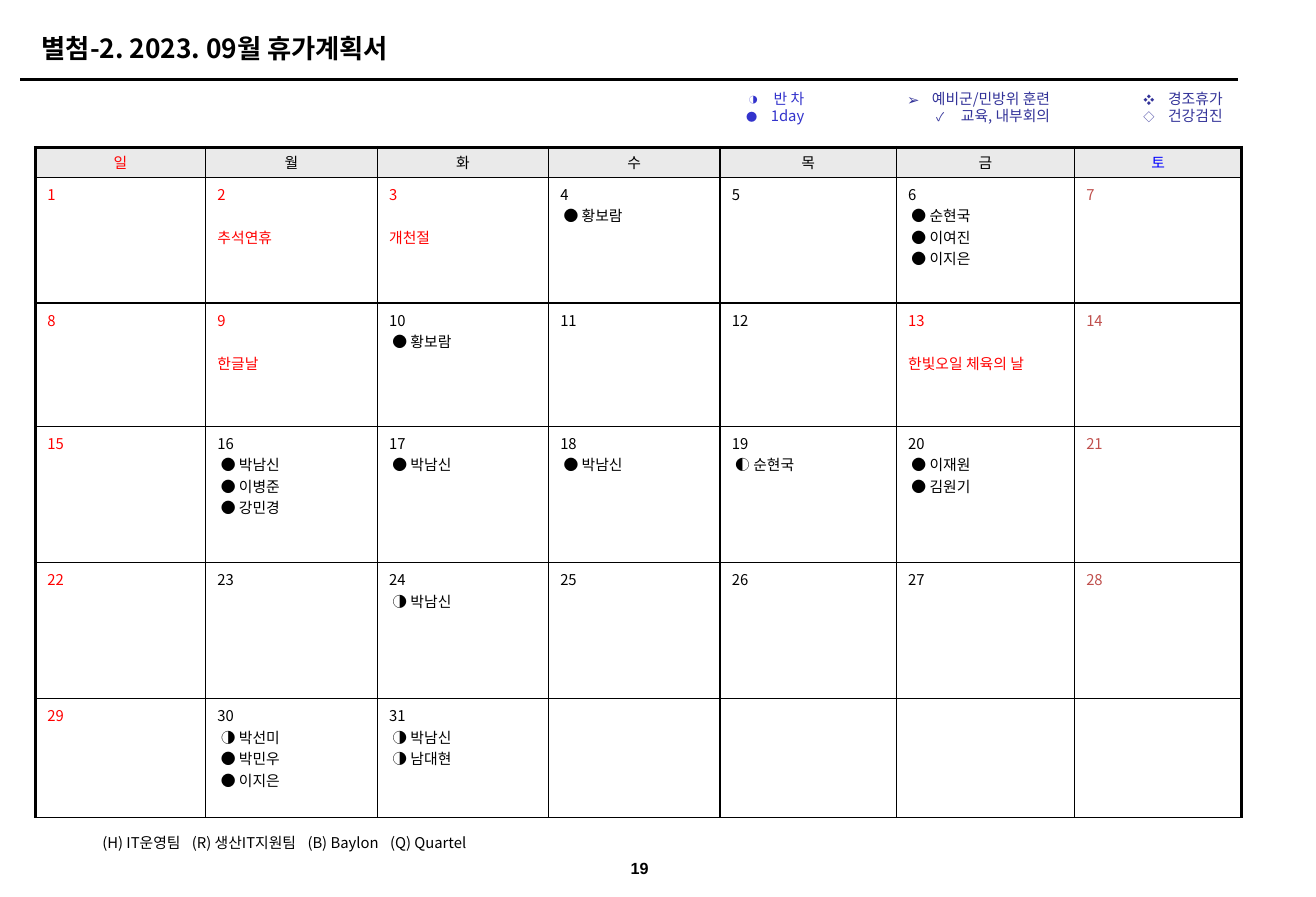
from lxml.etree import SubElement
from pptx import Presentation
from pptx.dml.color import RGBColor
from pptx.enum.shapes import MSO_CONNECTOR
from pptx.enum.text import MSO_ANCHOR as Anchor, MSO_AUTO_SIZE as AutoSize, PP_ALIGN as Align
from pptx.oxml.ns import qn
from pptx.util import Cm, Pt

KOREAN = "Noto Sans CJK KR"
BLACK, RED, BLUE, BRICK = "000000", "FF0000", "0000FF", "C0504D"
SMALL = {"name": KOREAN, "size": Pt(9), "bold": False}
HEADING = {"name": KOREAN, "size": Pt(16), "bold": True}
PAGE_NUMBER = {"name": "Arial", "size": Pt(9.8), "bold": True}

WEEKDAYS = "일월화수목금토"
COLUMN_WIDTHS = [3.65, 3.68, 3.67, 3.68, 3.78, 3.82, 3.59]
ROW_HEIGHTS = [0.64, 2.7, 2.64, 2.92, 2.92, 2.54]
LAST_DAY = 31
HOLIDAYS = {2: "추석연휴", 3: "개천절", 9: "한글날", 13: "한빛오일 체육의 날"}
LEAVES = {
    4: ["● 황보람"],
    6: ["● 순현국", "● 이여진", "● 이지은"],
    10: ["● 황보람"],
    16: ["● 박남신", "● 이병준", "● 강민경"],
    17: ["● 박남신"],
    18: ["● 박남신"],
    19: ["◐ 순현국"],
    20: ["● 이재원", "● 김원기"],
    24: ["◑ 박남신"],
    30: ["◑ 박선미", "● 박민우", "● 이지은"],
    31: ["◑ 박남신", "◑ 남대현"],
}
# Placeholder index, box, colour, (bullet, bullet size in percent, label)
LEGENDS = [
    (1, (14.5, 1.83, 3, 1), "3333CC", [("◑", 60, "반 차"), ("●", 75, "1day")]),
    (2, (18.77, 1.83, 4, 1), "333399",
     [("➢", 100, "예비군/민방위 훈련"), ("✓", 80, "교육, 내부회의")]),
    (3, (21.82, 1.83, 4.65, 1), "333399",
     [("❖", 75, "경조휴가"), ("◇", 75, "건강검진")]),
]
TEAMS = ["(H) IT운영팀", "(R) 생산IT지원팀", "(B) Baylon", "(Q) Quartel"]
TEAM_GAP = 5  # points added to the space between teams


def rgb(value):
    return RGBColor.from_string(value)


def apply(target, values):
    for name, value in values.items():
        setattr(target, name, value)


def add_span(para, text, style, color=BLACK):
    span = para.add_run()
    span.text = text
    apply(span.font, style)
    span.font.color.rgb = rgb(color)
    properties = span._r.get_or_add_rPr()
    for tag in ("a:ea", "a:sym"):
        SubElement(properties, qn(tag), typeface=style["name"])
    return properties


def place(shape, box, anchor):
    names = ("left", "top", "width", "height")
    apply(shape, {name: Cm(length) for name, length in zip(names, box)})
    apply(shape.text_frame, {"word_wrap": True, "auto_size": AutoSize.NONE,
                             "vertical_anchor": anchor})
    return shape.text_frame


def next_para(frame, index):
    return frame.add_paragraph() if index else frame.paragraphs[0]


def set_indent(para, left, first=0):
    properties = para._p.get_or_add_pPr()
    properties.set("marL", str(Cm(left)))
    properties.set("indent", str(Cm(first)))
    return properties


def add_heading(page, box):
    left, top, width, height = box
    # Title
    frame = place(page.shapes.title, (left + 0.21, top, width - 1, height), Anchor.MIDDLE)
    para = frame.paragraphs[0]
    para.alignment = Align.LEFT
    add_span(para, "별첨-2. 2023. 09월 휴가계획서", HEADING)
    # Rule under the title
    y = Cm(top + height + 0.2)
    rule = page.shapes.add_connector(MSO_CONNECTOR.STRAIGHT, Cm(left), y, Cm(left + width), y)
    rule.line.color.rgb = rgb(BLACK)
    rule.line.width = Pt(1.5)
    SubElement(rule._element.spPr, qn("a:effectLst"))


def add_legend(placeholder, box, color, entries):
    frame = place(placeholder, box, Anchor.TOP)
    for index, (bullet, percent, label) in enumerate(entries):
        para = next_para(frame, index)
        properties = set_indent(para, 0.53, -0.53)
        ink = SubElement(properties, qn("a:buClr"))
        SubElement(ink, qn("a:srgbClr"), val=color)
        SubElement(properties, qn("a:buSzPct"), val=str(percent * 1000))
        SubElement(properties, qn("a:buFont"), typeface=KOREAN)
        SubElement(properties, qn("a:buChar"), char=bullet)
        apply(para, {"alignment": Align.RIGHT, "line_spacing": 0.95, "space_before": Pt(0)})
        add_span(para, label, SMALL, color)


def format_cell(cell, row, column):
    properties = cell._tc.get_or_add_tcPr()
    outer = {"L": column == 0, "R": column == len(COLUMN_WIDTHS) - 1,
             "T": row == 0, "B": False}
    for side, is_outer in outer.items():
        border = SubElement(properties, qn(f"a:ln{side}"), w=str(Pt(2 if is_outer else 1)))
        fill = SubElement(border, qn("a:solidFill"))
        SubElement(fill, qn("a:srgbClr"), val=BLACK)
    if row == 0:
        cell.fill.solid()
        cell.fill.fore_color.rgb = rgb("EAEAEA")
    else:
        cell.fill.background()


def fill_weekday(cell, column):
    apply(cell, {"vertical_anchor": Anchor.MIDDLE, "margin_top": Cm(0.05),
                 "margin_bottom": Cm(0.05)})
    para = cell.text_frame.paragraphs[0]
    para.alignment = Align.CENTER
    add_span(para, WEEKDAYS[column], SMALL, {0: RED, 6: BLUE}.get(column, BLACK))


def fill_day(cell, day, column):
    color = RED if day in HOLIDAYS else {0: RED, 6: BRICK}.get(column, BLACK)
    frame = cell.text_frame
    add_span(frame.paragraphs[0], str(day), SMALL, color)
    if day in HOLIDAYS:
        para = frame.add_paragraph()
        para.space_before = Pt(13)
        add_span(para, HOLIDAYS[day], SMALL, color)
    for leave in LEAVES.get(day, []):
        para = frame.add_paragraph()
        set_indent(para, 0.07)
        add_span(para, leave, SMALL)


def add_calendar(page, left, top):
    width, height = sum(COLUMN_WIDTHS), sum(ROW_HEIGHTS)
    table = page.shapes.add_table(len(ROW_HEIGHTS), len(COLUMN_WIDTHS), Cm(left), Cm(top),
                                  Cm(width), Cm(height)).table
    apply(table, {"first_row": False, "horz_banding": False})
    for column, length in zip(table.columns, COLUMN_WIDTHS):
        column.width = Cm(length)
    for row, length in zip(table.rows, ROW_HEIGHTS):
        row.height = Cm(length)
    for row in range(len(ROW_HEIGHTS)):
        for column in range(len(COLUMN_WIDTHS)):
            cell = table.cell(row, column)
            format_cell(cell, row, column)
            day = (row - 1) * len(WEEKDAYS) + column + 1
            if row == 0:
                fill_weekday(cell, column)
            elif day <= LAST_DAY:
                fill_day(cell, day, column)


def add_teams(placeholder, box):
    para = place(placeholder, box, Anchor.MIDDLE).paragraphs[0]
    SubElement(set_indent(para, 0), qn("a:buNone"))
    apply(para, {"alignment": Align.LEFT, "line_spacing": 0.95, "space_before": Pt(0)})
    for index, team in enumerate(TEAMS):
        if index:
            add_span(para, " ", SMALL).set("spc", str(TEAM_GAP * 100))
        add_span(para, team, SMALL)


def add_page_number(page, box):
    shape = page.shapes.add_textbox(*map(Cm, box))
    para = place(shape, box, Anchor.MIDDLE).paragraphs[0]
    para.alignment = Align.CENTER
    add_span(para, "19", PAGE_NUMBER)


def main():
    deck = Presentation()
    deck.slide_width, deck.slide_height = Cm(28.22), Cm(19.23)
    page = deck.slides.add_slide(deck.slide_layouts.get_by_name("Comparison"))
    bodies = {shape.placeholder_format.idx: shape for shape in page.placeholders}
    add_heading(page, (0.43, 0.56, 26.11, 0.94))
    for index, box, color, entries in LEGENDS:
        add_legend(bodies[index], box, color, entries)
    add_calendar(page, 0.76, 3.16)
    add_teams(bodies[4], (1.94, 17.78, 10.5, 0.61))
    add_page_number(page, (13.03, 18.21, 1.37, 0.79))
    deck.save("out.pptx")


if __name__ == "__main__":
    main()
